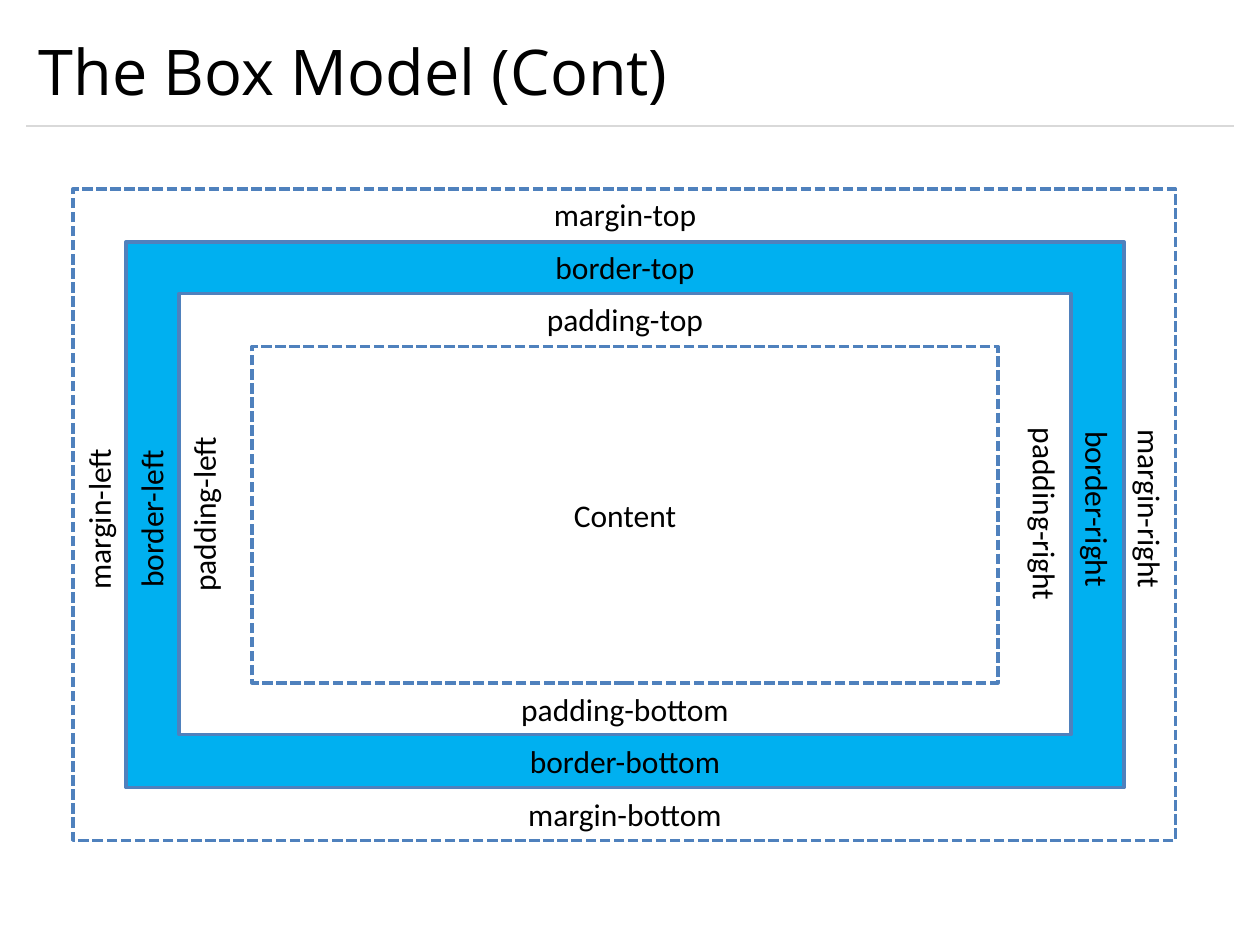
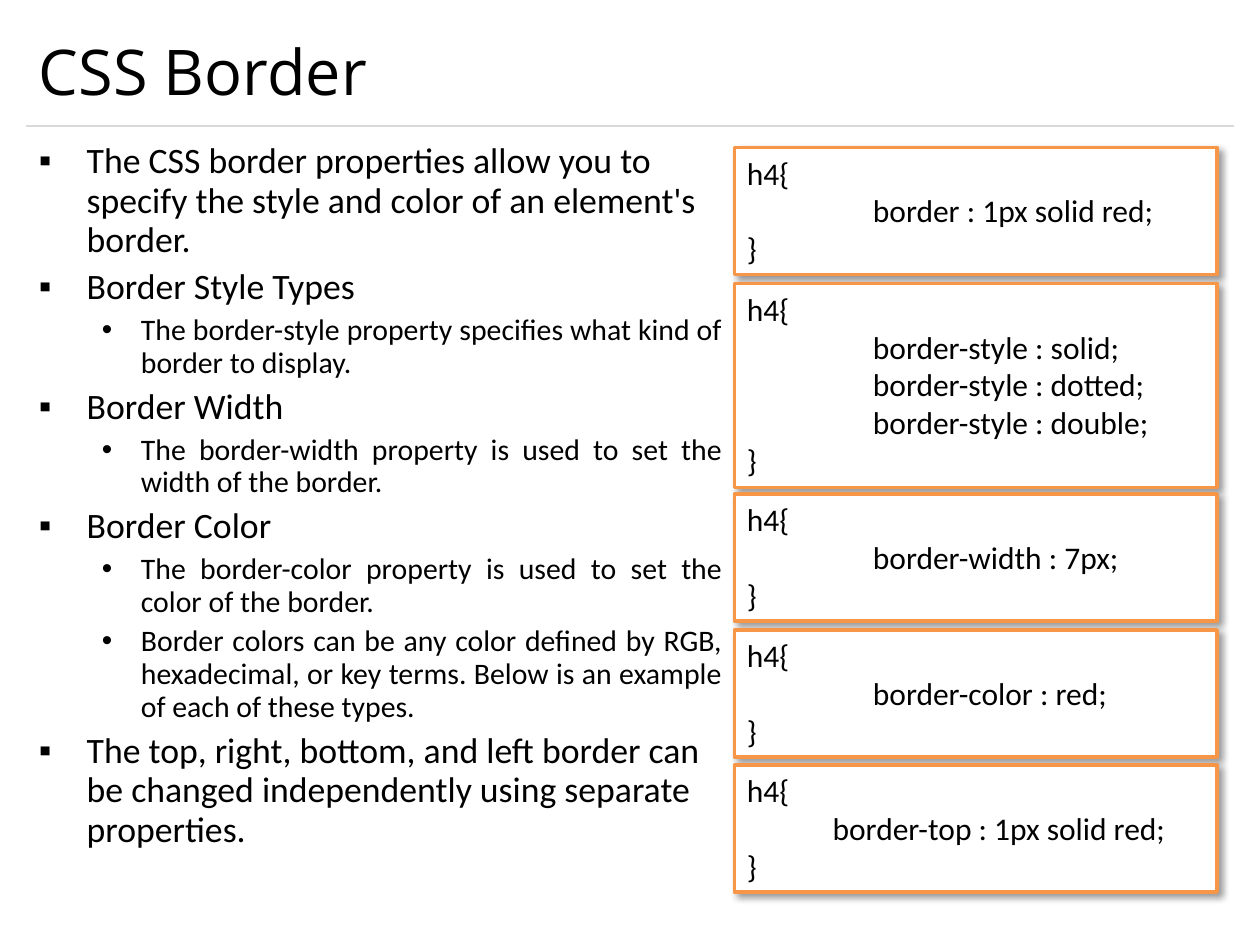
from dataclasses import dataclass

from lxml import etree
from pptx import Presentation
from pptx.dml.color import RGBColor
from pptx.enum.dml import MSO_LINE
from pptx.enum.shapes import MSO_CONNECTOR, MSO_SHAPE
from pptx.enum.text import MSO_ANCHOR, PP_ALIGN
from pptx.oxml.ns import qn
from pptx.util import Inches, Pt

BLACK = RGBColor(0x00, 0x00, 0x00)
WHITE = RGBColor(0xFF, 0xFF, 0xFF)
RULE_GRAY = RGBColor(0xD9, 0xD9, 0xD9)
OUTLINE_BLUE = RGBColor(0x4F, 0x81, 0xBD)
BORDER_CYAN = RGBColor(0x00, 0xB0, 0xF0)
CODE_ORANGE = RGBColor(0xF7, 0x96, 0x46)

TITLE_FONT = "Open Sans"
BODY_FONT = "Calibri"
TEXT_SIZE = 18

RECTANGLE = MSO_SHAPE.RECTANGLE
STRAIGHT = MSO_CONNECTOR.STRAIGHT
DASHED = MSO_LINE.SQUARE_DOT
LEFT, CENTER, JUSTIFY = PP_ALIGN.LEFT, PP_ALIGN.CENTER, PP_ALIGN.JUSTIFY
TOP, MIDDLE = MSO_ANCHOR.TOP, MSO_ANCHOR.MIDDLE


@dataclass(frozen=True)
class Box:
    left: float
    top: float
    width: float
    height: float

    def inches(self):
        return [Inches(v) for v in (self.left, self.top, self.width, self.height)]


@dataclass(frozen=True)
class Layer:
    """One ring of the box model; side_shift moves its side labels off centre."""
    name: str
    box: Box
    fill: RGBColor | None
    dashed: bool
    side_shift: float


@dataclass(frozen=True)
class Level:
    bullet: str
    size: float
    margin: float
    hanging: float
    align: PP_ALIGN


@dataclass(frozen=True)
class CodeSample:
    top: float
    height: float
    declarations: tuple[str, ...]
    indent: float = 1.0


TITLE_BOX = Box(0.21, 0.12, 9.58, 0.88)
BODY_BOX = Box(0.21, 1.08, 5.62, 5.83)
CONTENT_BOX = Box(2, 2.75, 5.92, 2.67)
LABEL_WIDTH, LABEL_HEIGHT = 2.25, 0.4
LABEL_STEP = 0.417
MODEL_CENTER_X, MODEL_CENTER_Y = 4.96, 4.08

LAYERS = (
    Layer("margin", Box(0.58, 1.5, 8.75, 5.17), None, True, 0.04),
    Layer("border", Box(1, 1.92, 7.92, 4.33), BORDER_CYAN, False, 0.04),
    Layer("padding", Box(1.42, 2.33, 7.08, 3.5), WHITE, False, 0),
)

MAIN = Level("▪", 20.4, 0.38, 0.38, LEFT)
SUB = Level("•", 17, 0.81, 0.31, JUSTIFY)
LINE_SPACING = 0.92
SPACE_BEFORE = 0.22

BORDER_NOTES = (
    (MAIN, "The CSS border properties allow you to specify the style and color of an element's border."),
    (MAIN, "Border Style Types"),
    (SUB, "The border-style property specifies what kind of border to display."),
    (MAIN, "Border Width"),
    (SUB, "The border-width property is used to set the width of the border."),
    (MAIN, "Border Color"),
    (SUB, "The border-color property is used to set the color of the border."),
    (SUB, "Border colors can be any color defined by RGB, hexadecimal, or key terms. "
          "Below is an example of each of these types."),
    (MAIN, "The top, right, bottom, and left border can be changed independently using separate properties."),
)

CODE_LEFT, CODE_WIDTH = 5.83, 3.83
CODE_SAMPLES = (
    CodeSample(1.17, 1.01, ("border : 1px solid red;",)),
    CodeSample(2.25, 1.62, ("border-style : solid;", "border-style : dotted;",
                            "border-style : double;")),
    CodeSample(3.92, 1.01, ("border-width : 7px;",)),
    CodeSample(5.0, 1.01, ("border-color : red;",)),
    CodeSample(6.07, 1.01, ("border-top : 1px solid red;",), 0.68),
)


def add_run(paragraph, text: str, size: float = TEXT_SIZE, font: str = BODY_FONT) -> None:
    run = paragraph.add_run()
    run.text = text
    run.font.size = Pt(size)
    run.font.name = font
    run.font.color.rgb = BLACK


def next_paragraph(frame, index: int):
    return frame.add_paragraph() if index else frame.paragraphs[0]


def set_indent(paragraph, margin: float, hanging: float = 0):
    properties = paragraph._p.get_or_add_pPr()
    properties.set("marL", str(Inches(margin)))
    properties.set("indent", str(-Inches(hanging)))
    return properties


def add_text_box(slide, box: Box, anchor: MSO_ANCHOR = TOP):
    text_box = slide.shapes.add_textbox(*box.inches())
    text_box.text_frame.word_wrap = True
    text_box.text_frame.vertical_anchor = anchor
    return text_box


def add_rectangle(slide, box: Box, line: RGBColor, fill: RGBColor | None = None,
                  dashed: bool = False):
    rectangle = slide.shapes.add_shape(RECTANGLE, *box.inches())
    rectangle.shadow.inherit = False
    if fill is None:
        rectangle.fill.background()
    else:
        rectangle.fill.solid()
        rectangle.fill.fore_color.rgb = fill
    rectangle.line.color.rgb = line
    rectangle.line.width = Pt(2)
    if dashed:
        rectangle.line.dash_style = DASHED
    return rectangle


def add_titled_slide(prs, title: str):
    slide = prs.slides.add_slide(prs.slide_layouts[6])
    rule = slide.shapes.add_connector(STRAIGHT, Inches(0.21), Inches(1), Inches(9.79), Inches(1))
    rule.line.color.rgb = RULE_GRAY
    rule.line.width = Pt(0.75)
    etree.SubElement(rule._element.spPr, qn("a:effectLst"))
    frame = add_text_box(slide, TITLE_BOX, MIDDLE).text_frame
    add_run(frame.paragraphs[0], title, 36, TITLE_FONT)
    return slide


def add_label(slide, text: str, center_x: float, center_y: float, rotation: int = 0) -> None:
    box = Box(center_x - LABEL_WIDTH / 2, center_y - LABEL_HEIGHT / 2, LABEL_WIDTH, LABEL_HEIGHT)
    label = add_text_box(slide, box)
    label.rotation = rotation
    paragraph = label.text_frame.paragraphs[0]
    paragraph.alignment = CENTER
    add_run(paragraph, text)


def add_layer_labels(slide, layer: Layer, depth: int) -> None:
    inset = depth * LABEL_STEP
    shift = layer.side_shift
    sides = (
        ("top", MODEL_CENTER_X, 1.7 + inset, 0),
        ("right", 9.13 - inset, MODEL_CENTER_Y - shift, 90),
        ("bottom", MODEL_CENTER_X, 6.46 - inset, 0),
        ("left", 0.78 + inset, MODEL_CENTER_Y + shift, 270),
    )
    for side, x, y, rotation in sides:
        add_label(slide, f"{layer.name}-{side}", x, y, rotation)


def add_shadow(shape) -> None:
    """Give the shape a soft shadow toward its lower right."""
    effects = shape._element.spPr.find(qn("a:effectLst"))
    shadow = etree.SubElement(effects, qn("a:outerShdw"), blurRad=str(Pt(4)), dist=str(Pt(3)),
                              dir="2700000", algn="tl", rotWithShape="0")
    color = etree.SubElement(shadow, qn("a:srgbClr"), val=str(BLACK))
    etree.SubElement(color, qn("a:alpha"), val="40000")


def add_code(slide, sample: CodeSample) -> None:
    box = Box(CODE_LEFT, sample.top, CODE_WIDTH, sample.height)
    panel = add_rectangle(slide, box, CODE_ORANGE, WHITE)
    add_shadow(panel)
    frame = panel.text_frame
    frame.word_wrap = True
    frame.vertical_anchor = TOP
    lines = [("h4{", 0), *((text, sample.indent) for text in sample.declarations), ("}", 0)]
    for index, (text, indent) in enumerate(lines):
        paragraph = next_paragraph(frame, index)
        paragraph.alignment = LEFT
        set_indent(paragraph, indent)
        add_run(paragraph, text)


def add_notes_list(slide, notes: tuple[tuple[Level, str], ...]) -> None:
    frame = add_text_box(slide, BODY_BOX).text_frame
    for index, (level, text) in enumerate(notes):
        paragraph = next_paragraph(frame, index)
        paragraph.alignment = level.align
        paragraph.line_spacing = LINE_SPACING
        paragraph.space_before = Pt(level.size * SPACE_BEFORE if index else 0)
        properties = set_indent(paragraph, level.margin, level.hanging)
        etree.SubElement(properties, qn("a:buFont"), typeface="Arial")
        etree.SubElement(properties, qn("a:buChar"), char=level.bullet)
        add_run(paragraph, text, level.size)


def build_box_model(prs) -> None:
    slide = add_titled_slide(prs, "The Box Model (Cont)")
    for layer in LAYERS:
        add_rectangle(slide, layer.box, OUTLINE_BLUE, layer.fill, layer.dashed)
    content = add_rectangle(slide, CONTENT_BOX, OUTLINE_BLUE, dashed=True)
    content.text_frame.vertical_anchor = MIDDLE
    paragraph = content.text_frame.paragraphs[0]
    paragraph.alignment = CENTER
    add_run(paragraph, "Content")
    for depth, layer in enumerate(LAYERS):
        add_layer_labels(slide, layer, depth)


def build_css_border(prs) -> None:
    slide = add_titled_slide(prs, "CSS Border")
    add_notes_list(slide, BORDER_NOTES)
    for sample in CODE_SAMPLES:
        add_code(slide, sample)


def main() -> None:
    prs = Presentation()
    prs.slide_width, prs.slide_height = Inches(10), Inches(7.5)
    build_box_model(prs)
    build_css_border(prs)
    prs.save("out.pptx")


if __name__ == "__main__":
    main()
